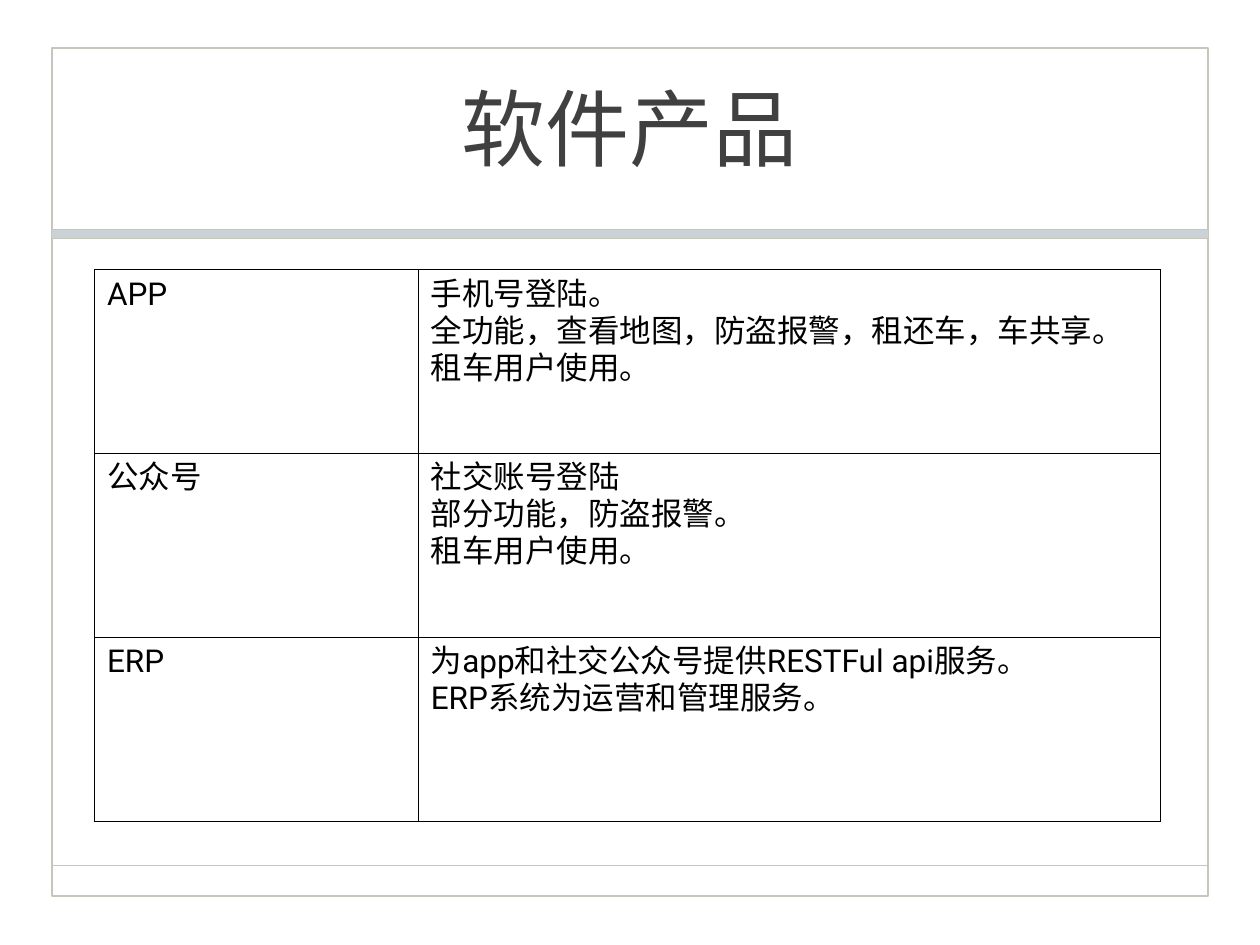
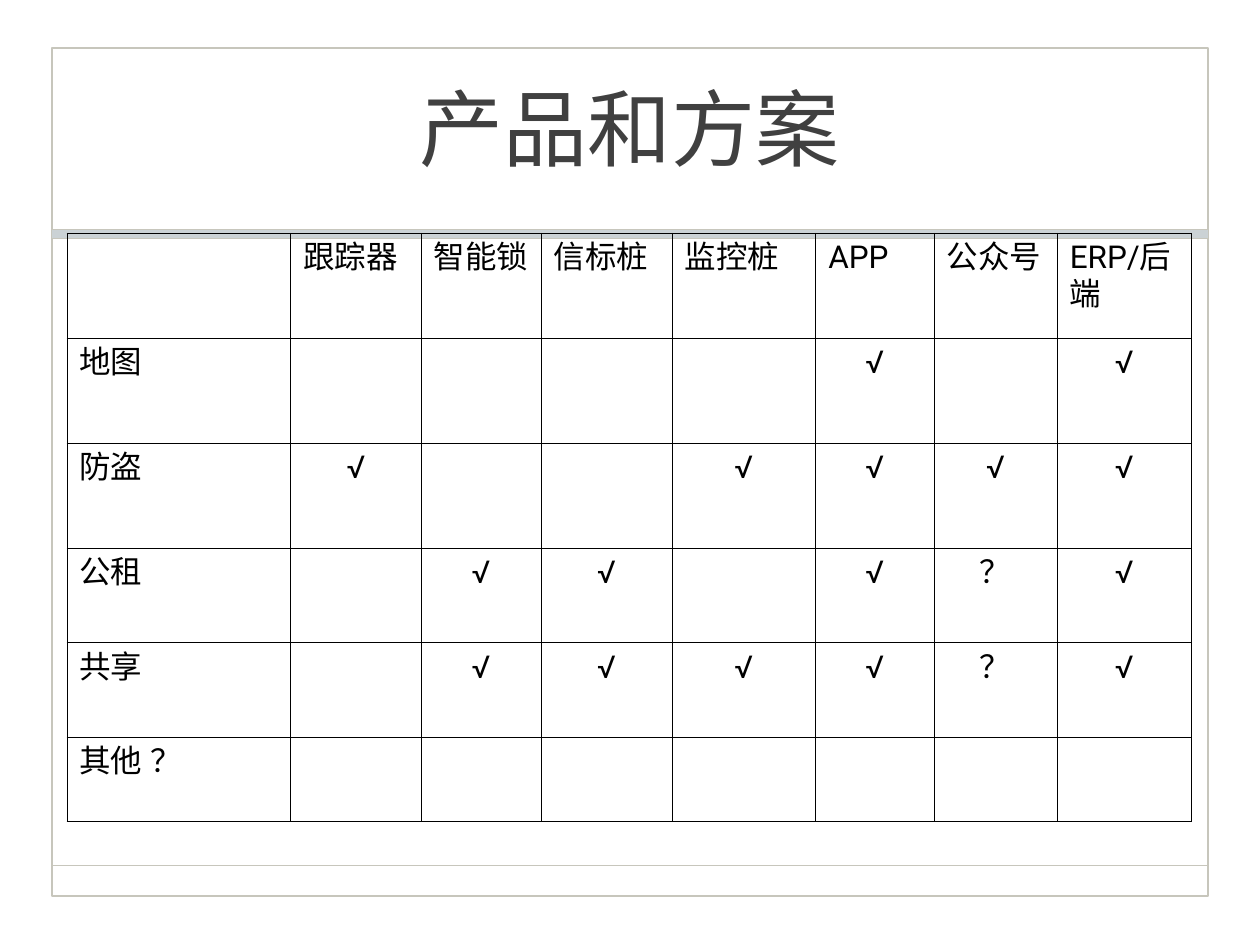
from itertools import product
from lxml.etree import SubElement
from pptx import Presentation
from pptx.dml.color import RGBColor
from pptx.enum.lang import MSO_LANGUAGE_ID
from pptx.enum.shapes import MSO_CONNECTOR, MSO_SHAPE
from pptx.enum.text import MSO_ANCHOR, PP_ALIGN
from pptx.oxml.ns import qn
from pptx.util import Pt

INK = RGBColor(0x00, 0x00, 0x00)
GREY = RGBColor(0x40, 0x40, 0x40)
EDGE = RGBColor(0xC7, 0xC6, 0xBC)
BAND = RGBColor(0xCB, 0xD2, 0xD5)
FACE = "Roboto"
MARKS = ("√", "？")


class Deck:
    """Holds the style and the current slide."""

    def __init__(self):
        self.file = Presentation()
        self.file.slide_width, self.file.slide_height = Pt(720), Pt(540)
        self.slide = None

    def page(self, title):
        """Start a slide with the shared frame, band and title."""
        self.slide = self.file.slides.add_slide(self.file.slide_layouts[6])
        self.box((29.5, 27.4, 661, 484.6), 1)
        self.rule(29.5, 690, 494.6)
        self.box((29.5, 131, 661, 5), 0.25, BAND)
        self.title(title)

    def box(self, area, width, fill=None):
        shape = self.slide.shapes.add_shape(MSO_SHAPE.RECTANGLE, *map(Pt, area))
        shape.shadow.inherit = False
        if fill is None:
            shape.fill.background()
        else:
            shape.fill.solid()
            shape.fill.fore_color.rgb = fill
        shape.line.color.rgb = EDGE
        shape.line.width = Pt(width)

    def rule(self, left, right, top):
        line = self.slide.shapes.add_connector(
            MSO_CONNECTOR.STRAIGHT, Pt(left), Pt(top), Pt(right), Pt(top))
        line.line.color.rgb = EDGE
        line.line.width = Pt(1)
        SubElement(line._element.spPr, qn("a:effectLst"))

    def title(self, text):
        frame = self.slide.shapes.add_textbox(
            Pt(70.6), Pt(19.4), Pt(578.2), Pt(105.8)).text_frame
        frame.word_wrap = True
        frame.vertical_anchor = MSO_ANCHOR.MIDDLE
        self.label(frame, text, 48, GREY, PP_ALIGN.CENTER)

    def label(self, frame, text, size, color, align):
        """Fill a text frame, one paragraph for each line."""
        look = {"name": FACE, "size": Pt(size),
                "language_id": MSO_LANGUAGE_ID.SIMPLIFIED_CHINESE}
        for i, part in enumerate(text.split("\n")):
            para = frame.add_paragraph() if i else frame.paragraphs[0]
            para.alignment = align
            run = para.add_run()
            run.text = part
            for key, value in look.items():
                setattr(run.font, key, value)
            run.font.color.rgb = color
            SubElement(run.font._element, qn("a:ea"), typeface=FACE)

    def table(self, left, top, cols, rows, cells):
        grid = self.slide.shapes.add_table(
            len(rows), len(cols), Pt(left), Pt(top),
            Pt(sum(cols)), Pt(sum(rows))).table
        grid.first_row = grid.horz_banding = False
        for col, width in zip(grid.columns, cols):
            col.width = Pt(width)
        for row, height in zip(grid.rows, rows):
            row.height = Pt(height)
        for r, c in product(range(len(rows)), range(len(cols))):
            cell, text = grid.cell(r, c), cells[r][c]
            self.border(cell)
            cell.fill.background()
            if text:
                align = PP_ALIGN.CENTER if text in MARKS else PP_ALIGN.LEFT
                self.label(cell.text_frame, text, 18, INK, align)

    def border(self, cell):
        props = cell._tc.get_or_add_tcPr()
        for side in "LRTB":
            line = SubElement(props, qn(f"a:ln{side}"), w=str(Pt(0.45)))
            fill = SubElement(line, qn("a:solidFill"))
            SubElement(fill, qn("a:srgbClr"), val=str(INK))


def main():
    deck = Deck()

    # Software products
    deck.page("软件产品")
    deck.table(54, 154.1, [185, 424], [105] * 3, [
        ("APP", "手机号登陆。\n全功能，查看地图，防盗报警，租还车，车共享。\n租车用户使用。"),
        ("公众号", "社交账号登陆\n部分功能，防盗报警。\n租车用户使用。"),
        ("ERP", "为app和社交公众号提供RESTFul api服务。\nERP系统为运营和管理服务。"),
    ])

    # Products against solutions: one mark for each product, "-" for none
    deck.page("产品和方案")
    heads = ["", "跟踪器", "智能锁", "信标桩", "监控桩", "APP", "公众号", "ERP/后端"]
    uses = {
        "地图": "----√-√",
        "防盗": "√--√√√√",
        "公租": "-√√-√？√",
        "共享": "-√√√√？√",
        "其他 ？": "-------",
    }
    body = [[name, *("" if m == "-" else m for m in marks)]
            for name, marks in uses.items()]
    deck.table(38.2, 133.3, [128, 74.4, 68.6, 74.8, 82.2, 67.6, 70.4, 76.6],
               [60, 60, 60, 54, 54, 48], [heads, *body])

    deck.file.save("out.pptx")


if __name__ == "__main__":
    main()
